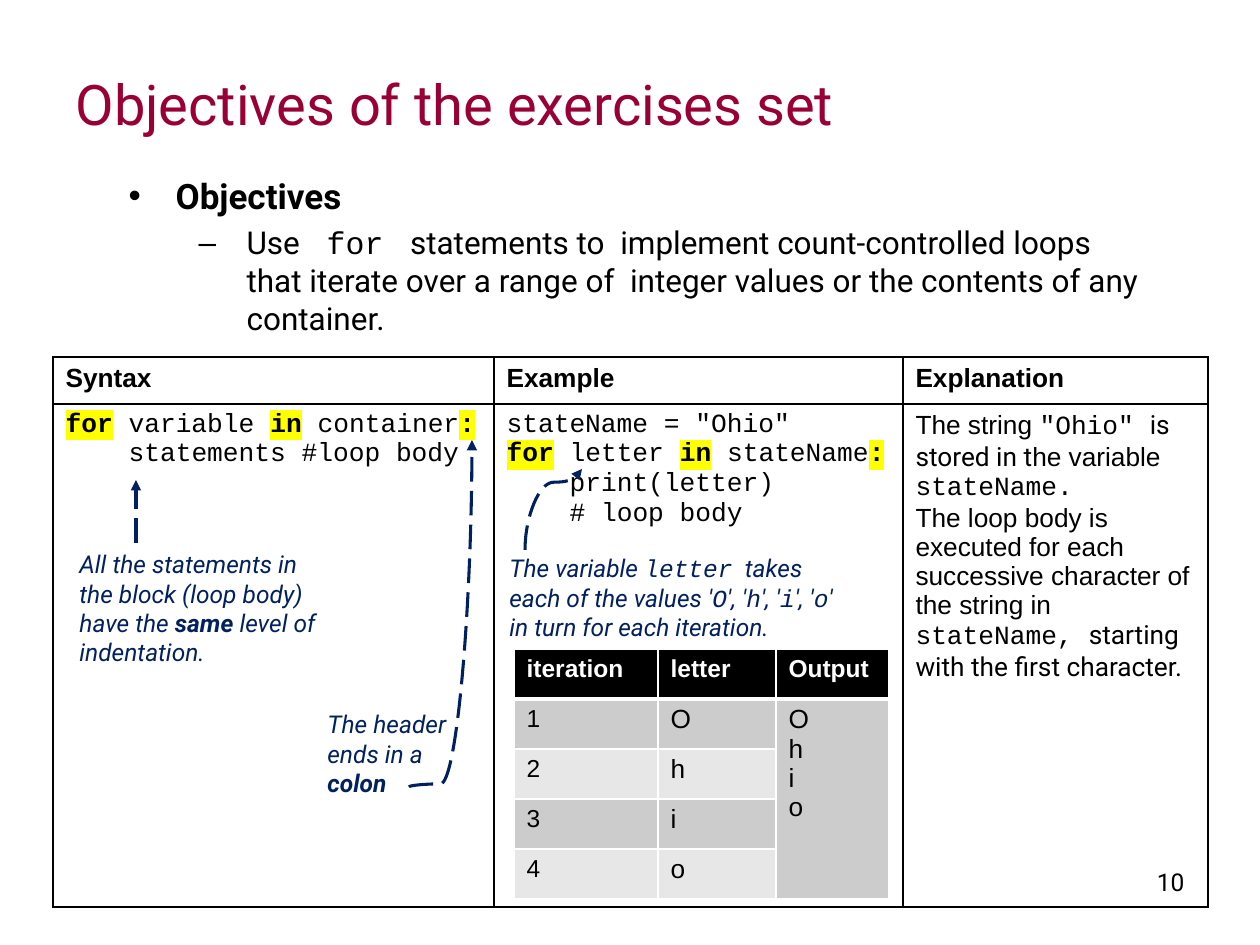
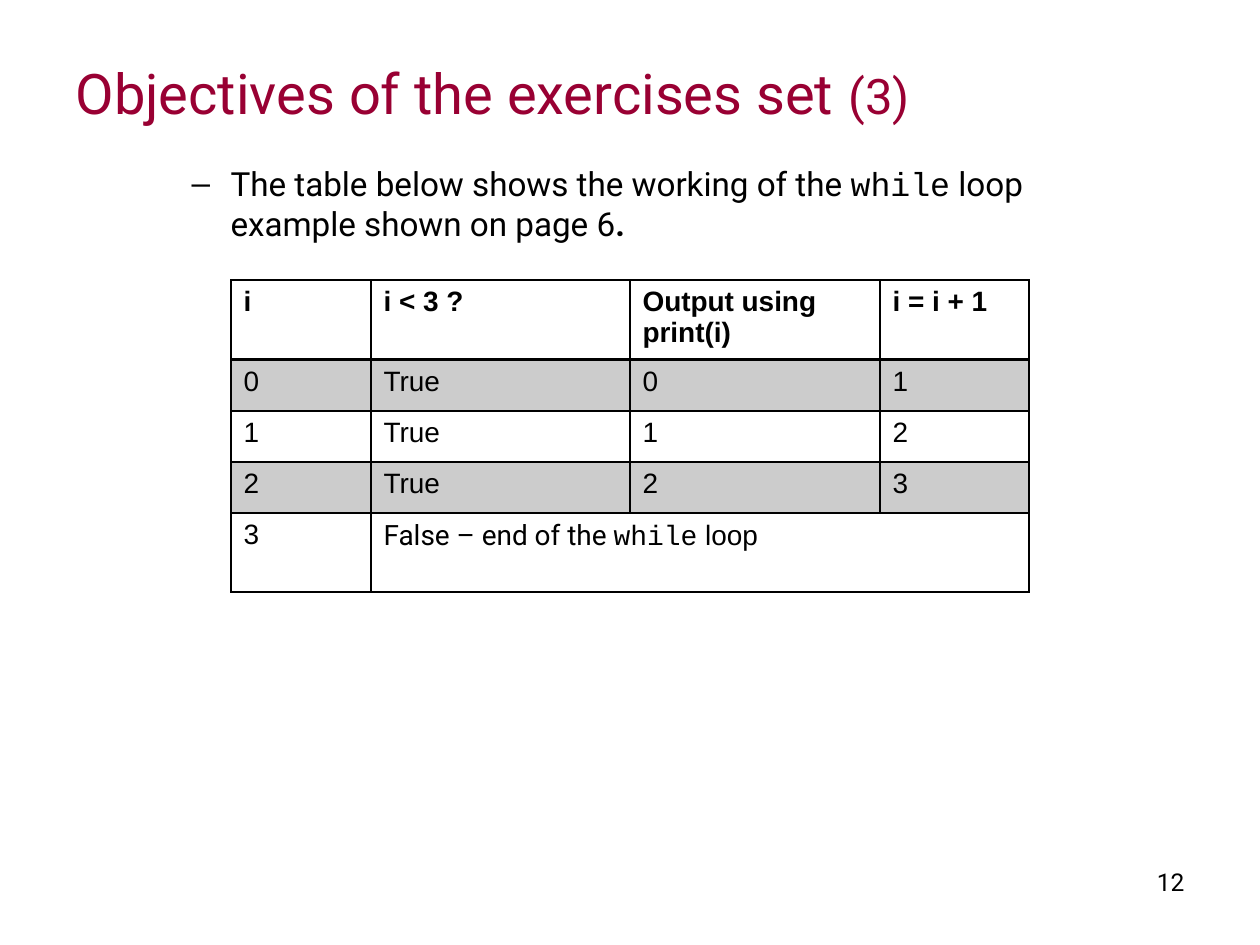
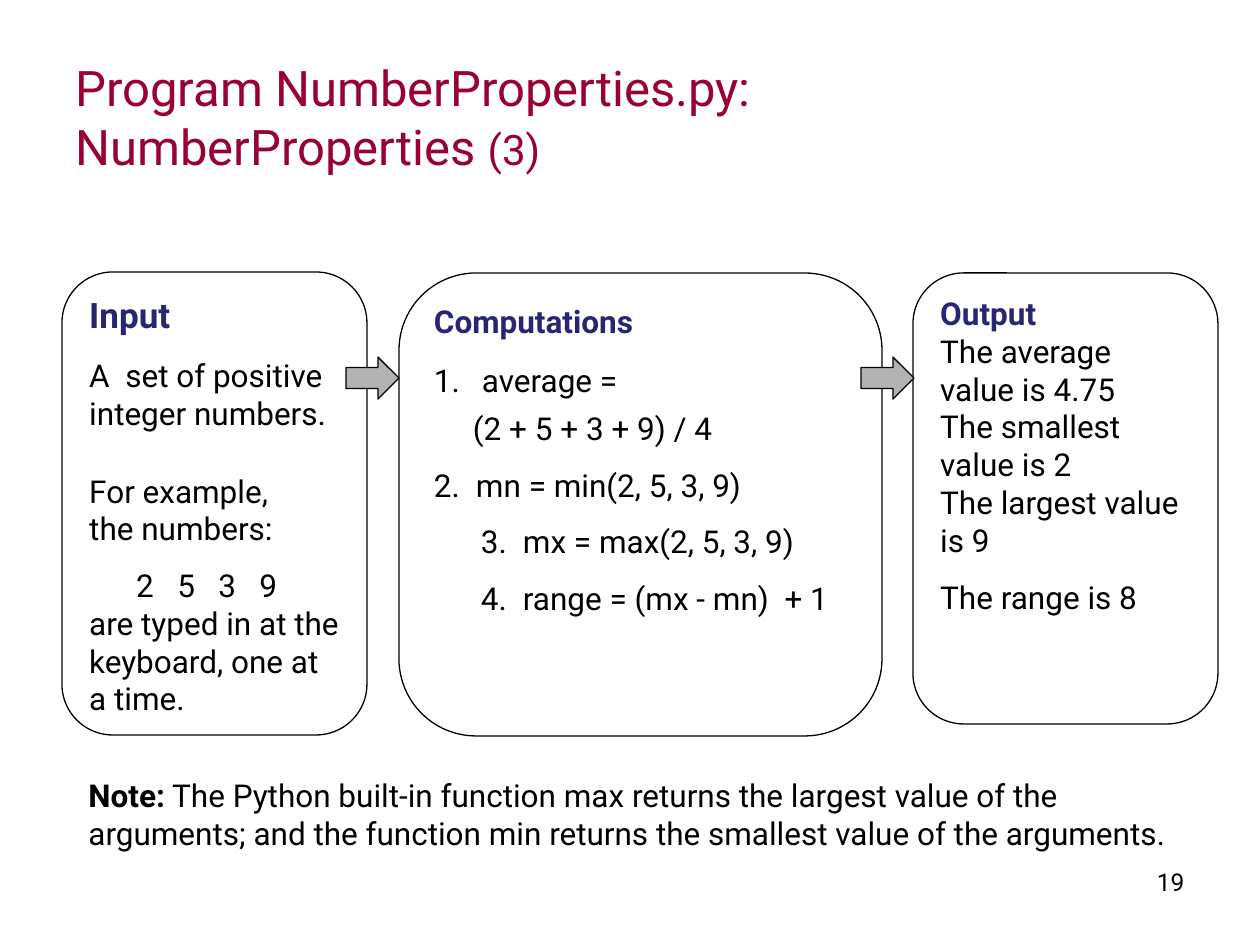
import dataclasses

import pptx
import pptx.dml.color
import pptx.enum.dml
import pptx.enum.shapes
import pptx.enum.text
import pptx.oxml.ns
import pptx.util
from lxml import etree

EMU_PER_PX = 914400 / 126
TITLE_LAYOUT, BODY_LAYOUT = 5, 1

SANS, TABLE_SANS, MONO = "Roboto", "Arial", "Courier New"
BLACK, WHITE, YELLOW = "000000", "FFFFFF", "FFFF00"
MAROON, NAVY, INDIGO = "990033", "002060", "262673"
GREY, LIGHT_GREY, ARROW_GREY = "CCCCCC", "E7E7E7", "B3B3B3"

Anchor = pptx.enum.text.MSO_ANCHOR
Align = pptx.enum.text.PP_ALIGN
Shape = pptx.enum.shapes.MSO_SHAPE
Connector = pptx.enum.shapes.MSO_CONNECTOR


@dataclasses.dataclass
class Span:
    """A stretch of text; None leaves the paragraph's own setting."""
    text: str
    font: str = None
    size: int = None
    bold: bool = None
    color: str = None
    highlight: str = None


@dataclasses.dataclass
class Para:
    """Spacing is in points; margin and indent are in px."""
    spans: list
    size: int = 18
    font: str = SANS
    color: str = BLACK
    bold: bool = False
    italic: bool = False
    align: Align = Align.LEFT
    before: float = 0
    after: float = 0
    line_spacing: float = None
    level: int = 0
    margin: int = 0
    indent: int = 0
    bullet: str = None
    number: int = None


def px(length):
    return pptx.util.Emu(round(length * EMU_PER_PX))


def rgb(color):
    return pptx.dml.color.RGBColor.from_string(color)


def add_xml(parent, tag, **attributes):
    child = etree.SubElement(parent, pptx.oxml.ns.qn(tag))
    for name, value in attributes.items():
        child.set(name, str(value))
    return child


def mono(text, **settings):
    return Span(text, font=MONO, **settings)


def strong(text):
    return Span(text, bold=True)


def keyword(text):
    return Span(text, bold=True, highlight=YELLOW)


def write_span(paragraph, span):
    run = paragraph.add_run()
    run.text = span.text
    if span.highlight:
        mark = add_xml(run._r.get_or_add_rPr(), "a:highlight")
        add_xml(mark, "a:srgbClr", val=span.highlight)
    if span.font:
        run.font.name = span.font
    if span.size:
        run.font.size = pptx.util.Pt(span.size)
    if span.bold is not None:
        run.font.bold = span.bold
    if span.color:
        run.font.color.rgb = rgb(span.color)


def write_para(paragraph, para):
    properties = paragraph._p.get_or_add_pPr()
    properties.set("marL", str(px(para.margin)))
    properties.set("indent", str(px(para.indent)))
    if para.bullet:
        add_xml(properties, "a:buChar", char=para.bullet)
    if para.number:
        add_xml(properties, "a:buAutoNum", type="arabicPeriod", startAt=para.number)
    paragraph.level = para.level
    paragraph.alignment = para.align
    paragraph.space_before = pptx.util.Pt(para.before)
    paragraph.space_after = pptx.util.Pt(para.after)
    if para.line_spacing:
        paragraph.line_spacing = para.line_spacing
    font = paragraph.font
    font.name, font.size = para.font, pptx.util.Pt(para.size)
    font.bold, font.italic = para.bold, para.italic
    font.color.rgb = rgb(para.color)
    for span in para.spans:
        write_span(paragraph, Span(span) if isinstance(span, str) else span)


def write_paras(frame, paras):
    for index, para in enumerate(paras):
        write_para(frame.add_paragraph() if index else frame.paragraphs[0], para)


def fill_frame(frame, paras, anchor=Anchor.TOP):
    frame.word_wrap = True
    frame.auto_size = pptx.enum.text.MSO_AUTO_SIZE.NONE
    frame.vertical_anchor = anchor
    write_paras(frame, paras)


def place(shape, box):
    shape.left, shape.top, shape.width, shape.height = map(px, box)


def add_text(page, box, paras):
    text_box = page.shapes.add_textbox(*map(px, box))
    fill_frame(text_box.text_frame, paras)


def add_page(deck, layout, number, title, title_height):
    page = deck.slides.add_slide(deck.slide_layouts[layout])
    place(page.shapes.title, (63, 38, 882, title_height))
    fill_frame(page.shapes.title.text_frame, [title], Anchor.MIDDLE)
    add_text(page, (903, 861, 294, 66), [Para([str(number)], size=14, align=Align.RIGHT)])
    return page


def fill_body(page, box, paras):
    body = page.placeholders[1]
    place(body, box)
    fill_frame(body.text_frame, paras)


def add_callout(page, box, spans):
    add_text(page, box, [Para(spans, size=14, color=NAVY, italic=True)])


def add_shape(page, kind, box, fill=None):
    shape = page.shapes.add_shape(kind, *map(px, box))
    shape.shadow.inherit = False
    if fill:
        shape.fill.solid()
        shape.fill.fore_color.rgb = rgb(fill)
    else:
        shape.fill.background()
    shape.line.color.rgb = rgb(BLACK)
    shape.line.width = pptx.util.Pt(0.75)
    return shape


def add_panel(page, box, paras):
    panel = add_shape(page, Shape.ROUNDED_RECTANGLE, box)
    fill_frame(panel.text_frame, paras)


def add_dashed_arrow(page, kind, start, end):
    arrow = page.shapes.add_connector(kind, *map(px, start + end))
    arrow.line.color.rgb = rgb(NAVY)
    arrow.line.width = pptx.util.Pt(1.75)
    arrow.line.dash_style = pptx.enum.dml.MSO_LINE.LONG_DASH
    add_xml(arrow.line._get_or_add_ln(), "a:tailEnd", type="triangle")
    add_xml(arrow._element.spPr, "a:effectLst")
    return arrow


def add_upward_curve(page, box, bend):
    """Curve that leaves its start vertically: the box is given before a quarter turn."""
    left, top, width, height = box
    arrow = add_dashed_arrow(page, Connector.CURVE, (left + width, top + height), (left, top))
    properties = arrow._element.spPr
    properties.find(pptx.oxml.ns.qn("a:xfrm")).set("rot", "5400000")
    guides = properties.find(".//" + pptx.oxml.ns.qn("a:avLst"))
    add_xml(guides, "a:gd", name="adj1", fmla=f"val {bend}")


def set_borders(cell, color, bottom):
    properties = cell._tc.get_or_add_tcPr()
    for side, points in (("L", 1), ("R", 1), ("T", 1), ("B", bottom)):
        line = add_xml(properties, f"a:ln{side}", w=pptx.util.Pt(points))
        add_xml(add_xml(line, "a:solidFill"), "a:srgbClr", val=color)


def add_table(page, corner, columns, rows, cells, border=BLACK, header_rule=1, fills=None):
    """Each cell is a list of Para, or None where a merged cell covers it."""
    box = (*corner, sum(columns), sum(rows))
    table = page.shapes.add_table(len(rows), len(columns), *map(px, box)).table
    table.first_row = table.horz_banding = False
    for column, width in zip(table.columns, columns):
        column.width = px(width)
    for index, (row, height) in enumerate(zip(table.rows, rows)):
        row.height = px(height)
        for cell, paras in zip(row.cells, cells[index]):
            set_borders(cell, border, 1 if index else header_rule)
            if fills and fills[index]:
                cell.fill.solid()
                cell.fill.fore_color.rgb = rgb(fills[index])
            else:
                cell.fill.background()
            if paras:
                write_paras(cell.text_frame, paras)
    return table


def cell_text(text, size, **settings):
    return [Para([text], size=size, font=TABLE_SANS, **settings)]


def code_line(*spans, margin=0):
    return Para(list(spans), size=15, font=MONO, margin=margin)


def add_for_loop_page(deck):
    page = add_page(deck, BODY_LAYOUT, 10,
                    Para(["Objectives of the exercises set"], size=32, color=MAROON), 130)
    fill_body(page, (116, 168, 1050, 714), [
        Para(["Objectives"], size=20, bold=True, before=12, margin=47, indent=-47, bullet="•"),
        Para(["Use ", mono(" for "), " statements to  implement count-controlled loops that "
              "iterate over a range of  integer values or the contents of any container."],
             level=1, before=4, margin=118, indent=-48, bullet="–"),
    ])
    code_indent = 63
    syntax = [
        code_line(keyword("for"), " variable ", keyword("in"), " container", keyword(":")),
        code_line("statements #loop body", margin=code_indent),
    ]
    example = [
        code_line('stateName = "Ohio"'),
        code_line(keyword("for"), " letter ", keyword("in"), " stateName", keyword(":")),
        code_line("print(letter)", margin=code_indent),
        code_line("# loop body", margin=code_indent),
    ]
    explanation = [
        Para(["The string ", mono('"Ohio" '), Span("is stored in t", font=SANS),
              "he variable ", mono("stateName.")], size=15, font=TABLE_SANS),
        Para(["The loop body is executed for each successive character of the string in ",
              mono("stateName, "), Span("starting with the first character.", font=SANS)],
             size=15, font=TABLE_SANS),
    ]
    headings = [cell_text(name, 15, bold=True) for name in ("Syntax", "Example", "Explanation")]
    add_table(page, (53, 357), (441, 409, 305), (47, 503),
              [headings, [syntax, example, explanation]])

    add_callout(page, (315, 703, 158, 102), ["The header ends in a ", strong("colon")])
    add_callout(page, (67, 543, 273, 131),
                ["All the statements in the block (loop body) have the ", strong("same"),
                 " level of indentation."])
    add_dashed_arrow(page, Connector.STRAIGHT, (136, 543), (136, 480))
    add_callout(page, (497, 547, 364, 102),
                ["The variable ", mono("letter"), "  takes each of the values '", mono("O"),
                 "', '", mono("h"), "', '", mono("i"), "', '", mono("o"),
                 "' in turn for each iteration."])
    add_upward_curve(page, (513, 481, 81, 57), 83600)
    add_upward_curve(page, (267, 582, 347, 63), 900)

    letters = "Ohio"
    cells = [[cell_text(name, 14, color=WHITE, bold=True)
              for name in ("iteration", "letter", "Output")]]
    for count, letter in enumerate(letters, 1):
        cells.append([cell_text(str(count), 14), cell_text(letter, 15), None])
    cells[1][2] = [para for letter in letters for para in cell_text(letter, 15)]
    trace = add_table(page, (514, 649), (144, 118, 113), [50] * 5, cells, border=WHITE,
                      header_rule=3, fills=[BLACK] + [GREY, LIGHT_GREY] * 2)
    trace.cell(1, 2).merge(trace.cell(4, 2))


def add_while_loop_page(deck):
    page = add_page(deck, BODY_LAYOUT, 12,
                    Para(["Objectives of the exercises set ", Span("(3)", size=28)],
                         size=32, color=MAROON), 109)
    fill_body(page, (116, 157, 1040, 756), [
        Para(["The table below shows the working of the ", mono("while"),
              " loop example shown on page 6", strong(".")],
             size=19, level=1, before=4, after=6, margin=102, indent=-39, bullet="–"),
    ])
    headings = ("i", "i < 3 ?", "Output using print(i)", "i = i + 1")
    cells = [[cell_text(heading, 16, bold=True) for heading in headings]]
    for value in range(3):
        texts = (value, True, value, value + 1)
        cells.append([cell_text(str(text), 16) for text in texts])
    ending = [Para(["False – end of the ", mono("while"), Span(" loop", font=TABLE_SANS)],
                   size=16)]
    cells.append([cell_text("3", 16), ending, None, None])
    table = add_table(page, (231, 280), (140, 259, 250, 149), (80, 51, 51, 51, 79), cells,
                      header_rule=2, fills=[None, GREY, None, GREY, None])
    table.cell(4, 1).merge(table.cell(4, 3))


def add_number_properties_page(deck):
    page = add_page(deck, TITLE_LAYOUT, 19,
                    Para(["Program NumberProperties.py: NumberProperties ",
                          Span("(3)", size=24)], size=28, color=MAROON), 157)
    add_panel(page, (62, 272, 305, 463), [
        Para(["Input"], size=20, color=INDIGO, bold=True),
        Para(["A  set of positive integer numbers."], before=12),
        Para(["For example,"], before=12, line_spacing=1.5),
        Para(["the numbers:"]),
        Para(["2   5   3   9"], line_spacing=1.5, margin=47),
        Para(["are typed in at the keyboard, one at a time."]),
    ])
    add_panel(page, (399, 273, 483, 463), [
        Para(["Computations"], color=INDIGO, bold=True),
        Para(["average ="], before=12, margin=48, indent=-48, number=1),
        Para(["(2 + 5 + 3 + 9) / 4"], before=6, margin=39),
        Para(["mn = min(2, 5, 3, 9)"], line_spacing=1.5, margin=42, indent=-42, number=2),
        Para(["mx = max(2, 5, 3, 9)"], line_spacing=1.5, margin=89, indent=-42, number=3),
        Para(["range = (mx - mn)  + 1"], line_spacing=1.5, margin=89, indent=-42, number=4),
    ])
    add_panel(page, (913, 273, 305, 451), [
        Para(["Output"], color=INDIGO, bold=True),
        Para(["The average value is 4.75"]),
        Para(["The smallest value is 2"]),
        Para(["The largest value is 9"]),
        Para(["The range is 8"], line_spacing=1.5),
    ])
    for left in (346, 861):
        add_shape(page, Shape.RIGHT_ARROW, (left, 357, 53, 42), ARROW_GREY)
    add_text(page, (76, 770, 1113, 89), [
        Para([strong("Note:"), " The Python built-in function max returns the largest value of "
              "the arguments; and the function min returns the smallest value of the "
              "arguments."]),
    ])


def main():
    deck = pptx.Presentation()
    deck.slide_width, deck.slide_height = px(1260), px(945)
    add_for_loop_page(deck)
    add_while_loop_page(deck)
    add_number_properties_page(deck)
    deck.save("out.pptx")


if __name__ == "__main__":
    main()
